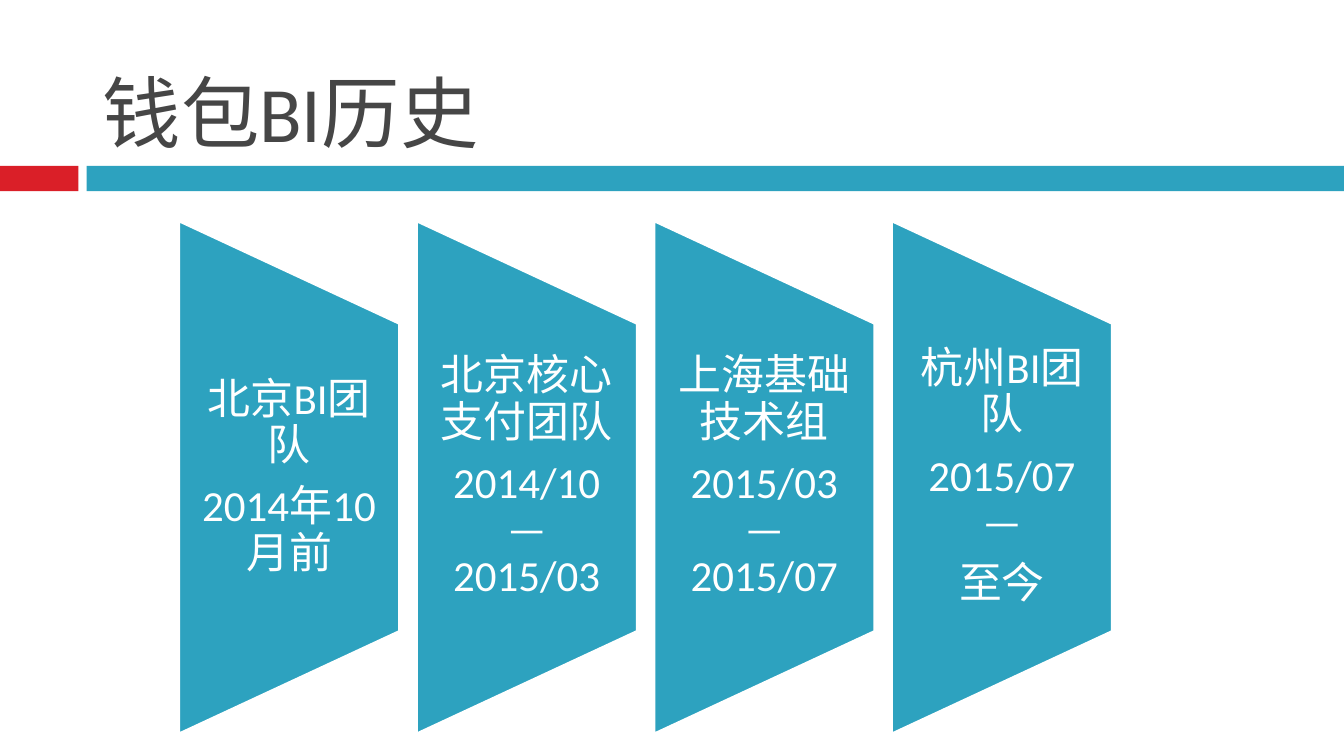
import pptx
import pptx.dml.color
import pptx.enum.shapes
import pptx.enum.text
import pptx.util

WIDE = pptx.util.Inches(10)
HIGH = pptx.util.Emu(WIDE * 9 // 16)
FIRST, STEP, SPAN = 13.3, 17.68, 16.43
KIND = pptx.enum.shapes.MSO_SHAPE
ALIGN = pptx.enum.text.PP_ALIGN
ANCHOR = pptx.enum.text.MSO_ANCHOR

COLORS = {"red": "DA1F28", "teal": "2DA2BF", "white": "FFFFFF", "gray": "464646"}
TITLE = {"anchor": ANCHOR.BOTTOM, "size": 42, "color": "gray", "frame": {}, "para": {}}
STAGE = {
    "anchor": ANCHOR.MIDDLE,
    "size": 23,
    "color": "white",
    "frame": {
        "margin_left": pptx.util.Inches(0.16),
        "margin_right": pptx.util.Inches(0.16),
        "margin_top": 0,
        "margin_bottom": 0,
    },
    "para": {
        "alignment": ALIGN.CENTER,
        "line_spacing": 0.9,
        "space_after": pptx.util.Pt(8),
    },
}
TEAMS = [
    ["北京BI团队", "2014年10月前"],
    ["北京核心支付团队", "2014/10—2015/03"],
    ["上海基础技术组", "2015/03—2015/07"],
    ["杭州BI团队", "2015/07—", "至今"],
]


def apply(item, values):
    for name, value in values.items():
        setattr(item, name, value)


def tint(name):
    return pptx.dml.color.RGBColor.from_string(COLORS[name])


def area(left, top, width, height):
    return [
        round(share * side / 100)
        for share, side in zip((left, top, width, height), (WIDE, HIGH, WIDE, HIGH))
    ]


def add_form(slide, kind, box, color):
    form = slide.shapes.add_shape(kind, *box)
    form.shadow.inherit = False
    form.fill.solid()
    form.fill.fore_color.rgb = tint(color)
    form.line.fill.background()
    return form


def add_text(slide, box, lines, style):
    frame = slide.shapes.add_textbox(*box).text_frame
    apply(frame, {"word_wrap": True, "vertical_anchor": style["anchor"], **style["frame"]})
    frame.text = "\n".join(lines)
    for para in frame.paragraphs:
        apply(para, style["para"])
        for run in para.runs:
            apply(run.font, {"name": "Calibri", "size": pptx.util.Pt(style["size"])})
            run.font.color.rgb = tint(style["color"])


def add_stage(slide, left, lines):
    x, y, width, height = area(left, 29.2, SPAN, 67.9)
    shift = (height - width) // 2
    box = (x - shift, y + shift, height, width)
    form = add_form(slide, KIND.FLOWCHART_MANUAL_OPERATION, box, "teal")
    form.rotation = 270
    form.line.color.rgb = tint("white")
    form.line.width = pptx.util.Pt(1.5)
    add_text(slide, area(left, 42.75, SPAN, 40.75), lines, STAGE)


def main():
    deck = pptx.Presentation()
    apply(deck, {"slide_width": WIDE, "slide_height": HIGH})
    slide = deck.slides.add_slide(deck.slide_layouts[6])
    for left, width, color in ((0, 5.83, "red"), (6.45, 93.55, "teal")):
        add_form(slide, KIND.RECTANGLE, area(left, 21.95, width, 3.35), color)
    add_text(slide, area(6.65, 2.25, 89.2, 19.5), ["钱包BI历史"], TITLE)
    for place, lines in enumerate(TEAMS):
        add_stage(slide, FIRST + place * STEP, lines)
    deck.save("out.pptx")


if __name__ == "__main__":
    main()
